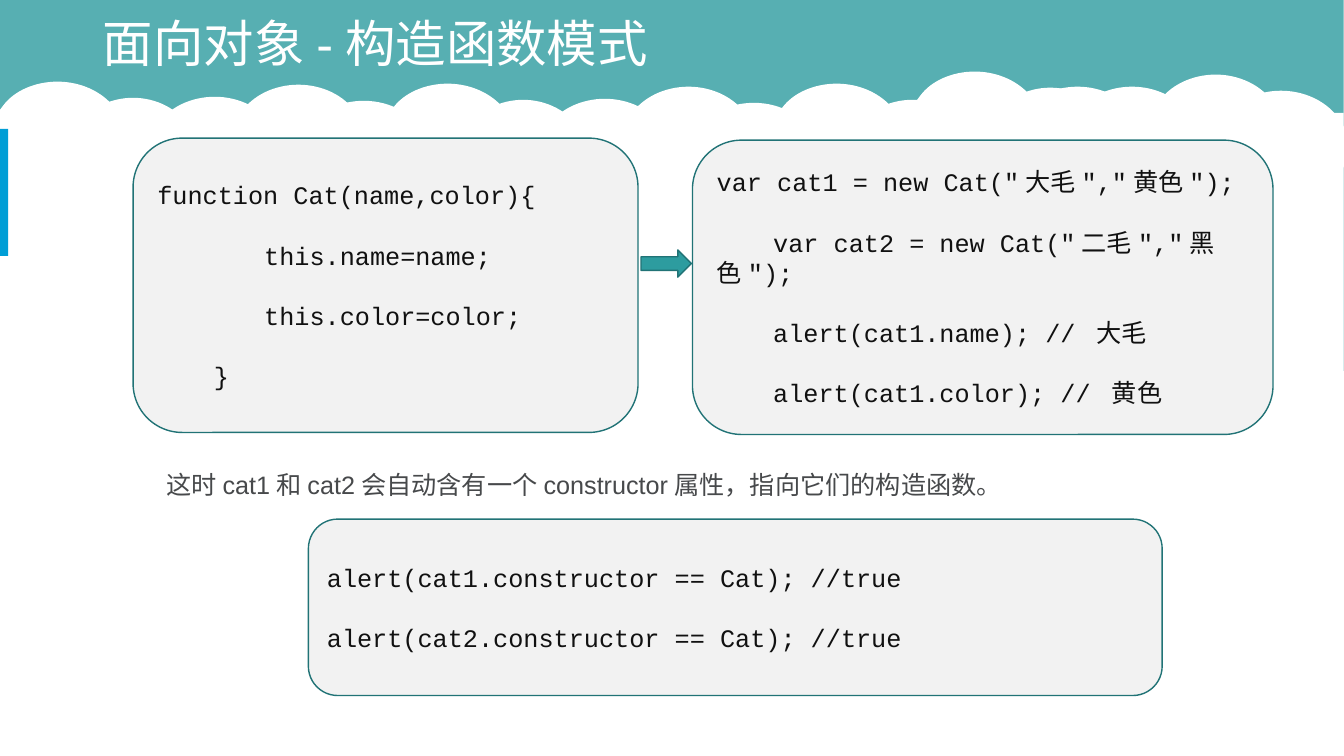
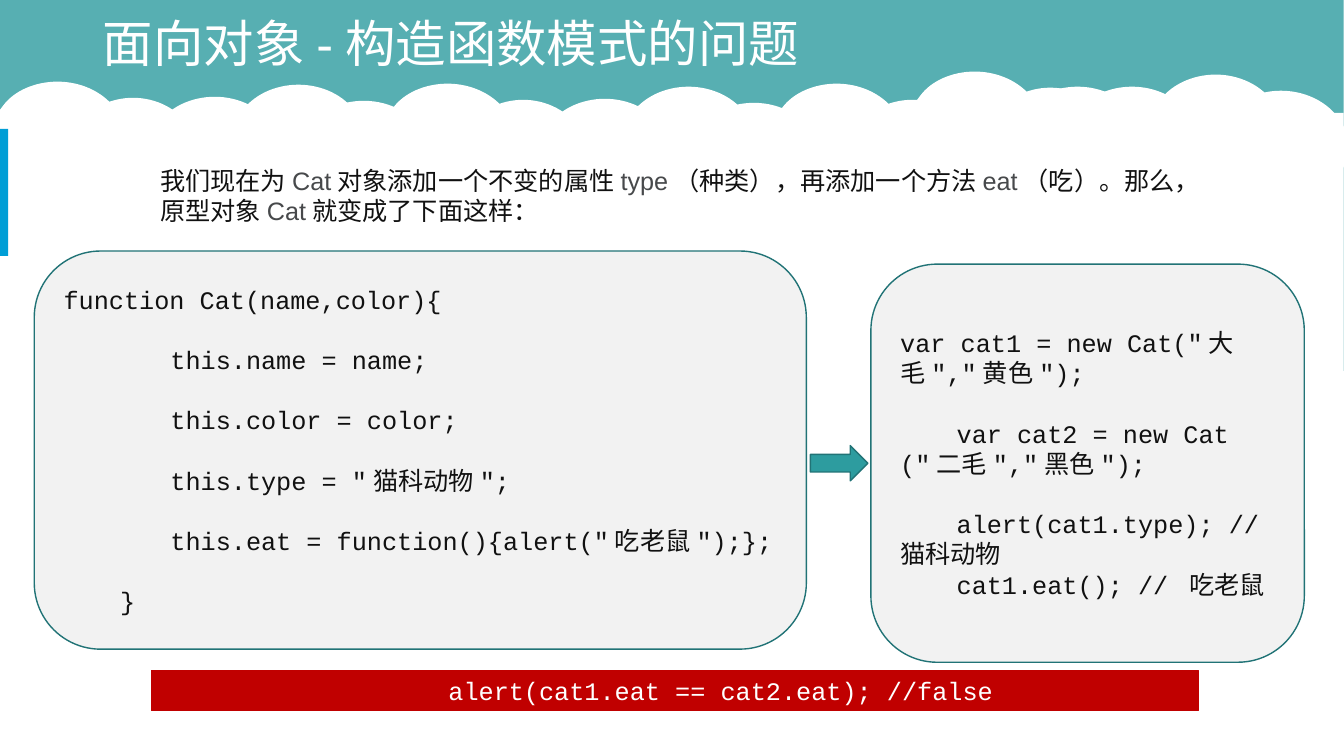
from dataclasses import dataclass

from lxml import etree
from pptx import Presentation
from pptx.dml.color import RGBColor
from pptx.enum.shapes import MSO_SHAPE
from pptx.enum.text import MSO_ANCHOR, MSO_AUTO_SIZE, PP_ALIGN
from pptx.oxml.ns import qn
from pptx.util import Inches, Pt


@dataclass(frozen=True)
class Theme:
    """Colours, fonts and type sizes of the deck."""
    teal: str = "2D9C9F"
    outline: str = "217376"
    panel: str = "F2F2F2"
    accent: str = "009ED6"
    alert: str = "C00000"
    white: str = "FFFFFF"
    ink: str = "111111"
    grey: str = "47494B"
    sans: str = "Arial"
    serif: str = "Noto Serif"
    mono: str = "Courier New"
    title_size: float = 36
    body_size: float = 18
    code_gap: float = 21.5
    indents: tuple = (0, 0.56, 1.06)


# A bank is two round-cut clouds with three whole ones (left, top, height) between.
CLOUD_WIDTH = 1.32
WHOLE_CLOUDS = [(0.66, 0.97, 1.21), (1.47, 0.96, 1.11), (2.3, 0.84, 1.11)]
BANKS = [(0, 0), (3.87, 0.02), (7.73, 0.02), (9.1, -0.1)]
# Outlines: each step is an end point, or two control points and an end point.
LEFT_CUT = [[(0.57, 0)],
            [(0.94, 0), (1.24, 0.25), (1.24, 0.55)],
            [(1.24, 0.86), (0.94, 1.11), (0.57, 1.11)],
            [(0.35, 1.11), (0.14, 1.01), (0.03, 0.86)],
            [(0, 0.82)], [(0, 0.28)], [(0.03, 0.24)],
            [(0.14, 0.09), (0.35, 0), (0.57, 0)]]
RIGHT_CUT = [[(0.66, 0)],
             [(0.93, 0), (1.17, 0.14), (1.27, 0.34)],
             [(1.29, 0.37)], [(1.29, 0.74)], [(1.27, 0.77)],
             [(1.17, 0.97), (0.93, 1.11), (0.66, 1.11)],
             [(0.29, 1.11), (0, 0.86), (0, 0.55)],
             [(0, 0.25), (0.29, 0), (0.66, 0)]]


class Deck:
    """Holds the theme, the presentation and the current slide."""

    def __init__(self, theme):
        """Start an empty 16:9 deck."""
        self.theme = theme
        self.prs = Presentation()
        self.prs.slide_height = Inches(7.5)
        self.prs.slide_width = Inches(7.5) * 16 // 9
        self.layout = self.prs.slide_layouts[5]
        self.slide = None

    def new_slide(self, title):
        """Add a slide with its title and side bar."""
        first = self.slide is None
        self.slide = self.prs.slides.add_slide(self.layout)
        if first:
            self.sky()
        t = self.theme
        holder = self.slide.shapes.title
        holder.left, holder.top = Inches(0.92), Inches(0.06)
        holder.width, holder.height = Inches(11.5), Inches(0.79)
        frame = holder.text_frame
        frame.auto_size = MSO_AUTO_SIZE.NONE
        frame.vertical_anchor = MSO_ANCHOR.MIDDLE
        para = frame.paragraphs[0]
        para.alignment, para.line_spacing = PP_ALIGN.LEFT, 0.9
        self.run(para, title, t.sans, t.white, t.title_size)
        self.shape(MSO_SHAPE.RECTANGLE, (-0.03, 1.28, 0.11, 1.26), t.accent)

    def sky(self):
        """Build the teal sky and its clouds, and place them on the layout."""
        t = self.theme
        group = self.slide.shapes.add_group_shape()
        shapes = group.shapes
        band = self.shape(MSO_SHAPE.RECTANGLE, (0, -0.03, 13.33, 3.71), t.teal,
                          shapes=shapes)
        colour = band.element.spPr.find(".//" + qn("a:srgbClr"))
        etree.SubElement(colour, qn("a:alpha")).set("val", "80000")
        for x, lift in BANKS:
            self.cut_cloud(shapes, x, 0.81 + lift, LEFT_CUT)
            for left, top, height in WHOLE_CLOUDS:
                self.shape(MSO_SHAPE.OVAL, (x + left, top + lift, CLOUD_WIDTH, height),
                           t.white, shapes=shapes)
            self.cut_cloud(shapes, x + 2.95, 1 + lift, RIGHT_CUT)
        self.shape(MSO_SHAPE.RECTANGLE, (0, 1.12, 13.33, 4.5), t.white, shapes=shapes)
        self.layout.element.cSld.spTree.insert(2, group.element)

    def cut_cloud(self, shapes, left, top, outline):
        """Draw a cloud with one side cut off, with curved edges."""
        ends = [(Inches(left + step[-1][0]), Inches(top + step[-1][1]))
                for step in outline]
        builder = shapes.build_freeform(*ends[0])
        builder.add_line_segments(ends[1:], close=True)
        cloud = self.paint(builder.convert_to_shape(), self.theme.white)
        lines = cloud.element.spPr.findall(".//" + qn("a:lnTo"))
        for line, step in zip(lines, outline[1:]):
            if len(step) == 1:
                continue
            line.tag = qn("a:cubicBezTo")
            for place, (x, y) in enumerate(step[:-1]):
                control = line.makeelement(qn("a:pt"))
                control.set("x", str(Inches(x)))
                control.set("y", str(Inches(y)))
                line.insert(place, control)

    def paint(self, shape, fill, line=None, width=1):
        """Give a shape a flat fill and an optional outline."""
        shape.shadow.inherit = False
        shape.fill.solid()
        shape.fill.fore_color.rgb = RGBColor.from_string(fill)
        if line:
            shape.line.color.rgb = RGBColor.from_string(line)
            shape.line.width = Pt(width)
        else:
            shape.line.fill.background()
        return shape

    def shape(self, kind, box, fill, line=None, width=1, shapes=None):
        """Add a preset shape to the slide or to the given group."""
        shapes = self.slide.shapes if shapes is None else shapes
        shape = shapes.add_shape(kind, *map(Inches, box))
        return self.paint(shape, fill, line, width)

    def run(self, para, text, font, colour, size=None):
        """Append one formatted run to a paragraph."""
        run = para.add_run()
        run.text = text
        run.font.name, run.font.size = font, Pt(size or self.theme.body_size)
        run.font.color.rgb = RGBColor.from_string(colour)

    def code_line(self, para, text, indent, colour):
        """Write a line of code with a first-line indent in inches."""
        para.alignment = PP_ALIGN.LEFT
        para._p.get_or_add_pPr().set("indent", str(Inches(indent)))
        self.run(para, text, self.theme.mono, colour)

    def code_panel(self, box, lines):
        """Add a rounded panel of code; a line is (level, text[, tight])."""
        t = self.theme
        panel = self.shape(MSO_SHAPE.ROUNDED_RECTANGLE, box, t.panel, t.outline)
        frame = panel.text_frame
        frame.word_wrap, frame.vertical_anchor = True, MSO_ANCHOR.MIDDLE
        for number, (level, text, *tight) in enumerate(lines):
            para = frame.add_paragraph() if number else frame.paragraphs[0]
            if number and not tight:
                para.space_before = Pt(t.code_gap)
            self.code_line(para, text, t.indents[level], t.ink)

    def arrow(self, box):
        """Add a block arrow between two panels."""
        self.shape(MSO_SHAPE.RIGHT_ARROW, box, self.theme.teal, self.theme.outline)

    def note(self, box, runs):
        """Add body text made of (text, font, colour) runs."""
        frame = self.slide.shapes.add_textbox(*map(Inches, box)).text_frame
        frame.word_wrap = True
        frame.auto_size = MSO_AUTO_SIZE.SHAPE_TO_FIT_TEXT
        for text, font, colour in runs:
            self.run(frame.paragraphs[0], text, font, colour)

    def result_bar(self, box, text, indent):
        """Add a red bar with one line of code."""
        t = self.theme
        bar = self.shape(MSO_SHAPE.RECTANGLE, box, t.alert, t.alert, 0.75)
        frame = bar.text_frame
        frame.word_wrap, frame.vertical_anchor = True, MSO_ANCHOR.TOP
        frame.auto_size = MSO_AUTO_SIZE.SHAPE_TO_FIT_TEXT
        self.code_line(frame.paragraphs[0], text, indent, t.white)


def constructor_slide(deck):
    """The constructor pattern and its constructor property."""
    t = deck.theme
    deck.new_slide("面向对象-构造函数模式")
    deck.note((1.55, 4.61, 10.39, 0.4),
              [("这时cat1和cat2会自动含有一个constructor属性，指向它们的构造函数。",
                t.sans, t.grey)])
    deck.code_panel((1.32, 1.37, 5.01, 2.92), [
        (0, "function Cat(name,color){"),
        (2, "this.name=name;"),
        (2, "this.color=color;"),
        (1, "}")])
    deck.code_panel((6.87, 1.39, 5.76, 2.92), [
        (0, 'var cat1 = new Cat("大毛","黄色");'),
        (1, 'var cat2 = new Cat("二毛","黑色");'),
        (1, "alert(cat1.name); // 大毛"),
        (1, "alert(cat1.color); // 黄色")])
    deck.arrow((6.36, 2.48, 0.5, 0.27))
    deck.code_panel((3.06, 5.15, 8.47, 1.75), [
        (0, f"alert({cat}.constructor == Cat); //true") for cat in ("cat1", "cat2")])


def problem_slide(deck):
    """The problem of the constructor pattern."""
    t = deck.theme
    deck.new_slide("面向对象-构造函数模式的问题")
    phrases = ["我们现在为", "Cat", "对象添加一个不变的属性", "type",
               "（种类），再添加一个方法", "eat", "（吃）。那么，原型对象", "Cat",
               "就变成了下面这样："]
    deck.note((1.49, 1.59, 10.39, 0.71),
              [(text, t.sans, t.grey) if text.isascii() else (text, t.serif, t.ink)
               for text in phrases])
    deck.code_panel((0.34, 2.49, 7.66, 3.95), [
        (0, "function Cat(name,color){"),
        (2, "this.name = name;"),
        (2, "this.color = color;"),
        (2, 'this.type = "猫科动物";'),
        (2, 'this.eat = function(){alert("吃老鼠");};'),
        (1, "}")])
    deck.arrow((8.04, 4.42, 0.57, 0.35))
    deck.code_panel((8.64, 2.62, 4.3, 3.95), [
        (0, 'var cat1 = new Cat("大毛","黄色");'),
        (1, 'var cat2 = new Cat ("二毛","黑色");'),
        (1, "alert(cat1.type); // 猫科动物"),
        (1, "cat1.eat(); // 吃老鼠", "tight")])
    deck.result_bar((1.5, 6.65, 10.39, 0.4),
                    "alert(cat1.eat == cat2.eat); //false", 2.85)


def main():
    """Build both slides and save the deck."""
    deck = Deck(Theme())
    constructor_slide(deck)
    problem_slide(deck)
    deck.prs.save("out.pptx")


main()
